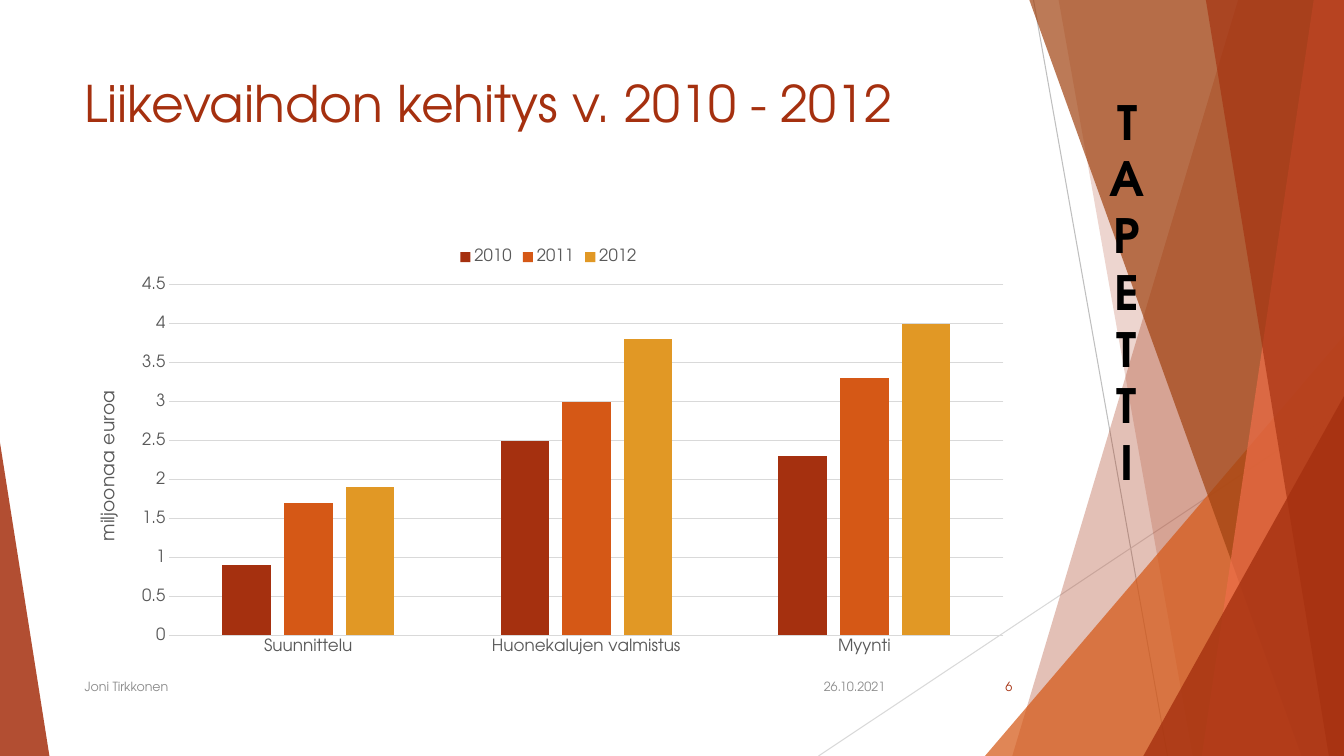
from dataclasses import dataclass

import pptx
import pptx.chart.data
import pptx.dml.color
import pptx.enum.chart
import pptx.enum.shapes
import pptx.enum.text
import pptx.oxml
import pptx.oxml.ns
import pptx.util

ALIGN = pptx.enum.text.PP_ALIGN
ANCHOR = pptx.enum.text.MSO_ANCHOR
qn = pptx.oxml.ns.qn


@dataclass(frozen=True)
class Theme:
    """Colours, font and type sizes of the deck."""
    font: str = "TeX Gyre Adventor"
    red: str = "A5300F"
    orange: str = "D55816"
    gold: str = "E19825"
    brown: str = "A04210"
    coral: str = "EE6E4A"
    black: str = "000000"
    white: str = "FFFFFF"
    label: str = "595959"
    muted: str = "8C8C8C"
    grid: str = "D9D9D9"
    rule: str = "BFBFBF"
    title: float = 36
    banner: float = 33.8
    axis_title: float = 13.3
    axis: float = 12
    footer: float = 9
    hairline: float = 0.75


@dataclass(frozen=True)
class Box:
    """A rectangle in EMU that yields boxes and points by percentage."""
    left: int
    top: int
    width: int
    height: int

    def point(self, x, y):
        """Return the point at x and y percent of the box."""
        return round(self.left + self.width * x / 100), round(self.top + self.height * y / 100)

    def area(self, x, y, w, h):
        """Return the sub-box given in percent."""
        return Box(*self.point(x, y), round(self.width * w / 100), round(self.height * h / 100))

    @property
    def bounds(self):
        """Return left, top, width and height."""
        return self.left, self.top, self.width, self.height


T = Theme()


def rgb(color):
    """Return a colour object for a hex string."""
    return pptx.dml.color.RGBColor.from_string(color)


def sub(parent, tag, **attrs):
    """Append a child element with attributes."""
    el = parent.makeelement(qn(tag), {k: str(v) for k, v in attrs.items()})
    parent.append(el)
    return el


def set_font(font, size, color, bold=False):
    """Apply the theme font with a size and colour."""
    font.name, font.size, font.bold = T.font, pptx.util.Pt(size), bold
    font.color.rgb = rgb(color)


def set_line(line, color):
    """Draw a hairline in the given colour."""
    line.color.rgb = rgb(color)
    line.width = pptx.util.Pt(T.hairline)


def paint(sp, color, opacity):
    """Fill a facet with a translucent colour and no outline."""
    sp.shadow.inherit = False
    sp.fill.solid()
    sp.fill.fore_color.rgb = rgb(color)
    sp.line.fill.background()
    clr = sp._element.spPr.find(qn("a:solidFill"))[0]
    sub(clr, "a:alpha", val=opacity * 1000)


def add_rule(s, box, start, end, color):
    """Add a thin straight line between two points of the box."""
    ln = s.shapes.add_connector(pptx.enum.shapes.MSO_CONNECTOR.STRAIGHT,
                                *box.point(*start), *box.point(*end))
    set_line(ln.line, color)
    sub(ln._element.spPr, "a:effectLst")


def add_band(s, box, top_x, bottom_x, color, opacity):
    """Add a full-height band with a slanted left edge up to the right side."""
    fb = s.shapes.build_freeform(*box.point(top_x, 0), scale=1.0)
    fb.add_line_segments([box.point(100, 0), box.point(100, 100), box.point(bottom_x, 100)], close=True)
    paint(fb.convert_to_shape(), color, opacity)


def add_corner(s, box, apex, color, opacity):
    """Add a right triangle whose apex lies at the given share of its width."""
    sp = s.shapes.add_shape(pptx.enum.shapes.MSO_SHAPE.ISOSCELES_TRIANGLE, *box.bounds)
    sp.adjustments[0] = apex
    paint(sp, color, opacity)


def add_facets(s, box):
    """Add the layered facets at the sides of the slide."""
    add_rule(s, box, (76.9, 0), (86.87, 100), T.rule)
    add_rule(s, box, (100, 53.73), (60.9, 100), T.grid)
    add_band(s, box, 92.12, 75.32, T.red, 30)
    add_band(s, box, 78.77, 88.75, T.red, 20)
    add_corner(s, box.area(73.29, 44.4, 26.71, 55.6), 1, T.orange, 72)
    for top_x, bottom_x, color, opacity in ((76.59, 96.85, T.brown, 70),
                                            (97.75, 89.42, T.coral, 70),
                                            (89.72, 98.87, T.red, 65)):
        add_band(s, box, top_x, bottom_x, color, opacity)
    add_corner(s, box.area(85.07, 52.4, 14.93, 47.6), 1, T.red, 80)
    add_corner(s, box.area(0, 58.53, 3.68, 41.47), 0, T.red, 85)


def add_text(s, box, text, size, color, align=ALIGN.LEFT, anchor=ANCHOR.TOP, bold=False):
    """Add a one-paragraph text box."""
    sp = s.shapes.add_textbox(*box.bounds)
    tf = sp.text_frame
    tf.word_wrap, tf.vertical_anchor = True, anchor
    p = tf.paragraphs[0]
    p.text, p.alignment = text, align
    set_font(p.font, size, color, bold)
    return sp


def add_banner(s, box):
    """Add the stacked vertical lettering with a white outline."""
    tf = add_text(s, box, "TAPETTI", T.banner, T.black, ALIGN.CENTER, bold=True).text_frame
    tf._txBody.bodyPr.set("vert", "wordArtVert")
    ln = sub(tf.paragraphs[0].runs[0]._r.get_or_add_rPr(), "a:ln", w=pptx.util.Pt(T.hairline))
    sub(sub(ln, "a:solidFill"), "a:srgbClr", val=T.white)


def add_revenue_chart(s, box):
    """Add the clustered columns of revenue by department and year."""
    data = pptx.chart.data.CategoryChartData()
    data.categories = ["Suunnittelu", "Huonekalujen valmistus", "Myynti"]
    data.add_series("2010", (0.9, 2.5, 2.3))
    data.add_series("2011", (1.7, 3, 3.3))
    data.add_series("2012", (1.9, 3.8, 4))
    xl = pptx.enum.chart
    chart = s.shapes.add_chart(xl.XL_CHART_TYPE.COLUMN_CLUSTERED, *box.bounds, data).chart
    set_font(chart.font, T.axis, T.label)
    chart.has_title = False
    chart.has_legend = True
    chart.legend.position = xl.XL_LEGEND_POSITION.TOP
    chart.legend.include_in_layout = False
    set_font(chart.legend.font, T.axis, T.label)

    plot = chart.plots[0]
    plot.gap_width, plot.overlap, plot.vary_by_categories = 219, -27, False
    for series, color in zip(plot.series, (T.red, T.orange, T.gold)):
        series.format.fill.solid()
        series.format.fill.fore_color.rgb = rgb(color)

    for axis in (chart.category_axis, chart.value_axis):
        axis.major_tick_mark = axis.minor_tick_mark = xl.XL_TICK_MARK.NONE
        set_font(axis.tick_labels.font, T.axis, T.label)
    set_line(chart.category_axis.format.line, T.grid)
    values = chart.value_axis
    values.minimum_scale, values.maximum_scale, values.major_unit = 0, 4.5, 0.5
    values.format.line.fill.background()
    set_line(values.major_gridlines.format.line, T.grid)
    tf = values.axis_title.text_frame
    p = tf.paragraphs[0]
    p.text = "miljoonaa euroa"
    set_font(p.font, T.axis_title, T.label)
    tf._txBody.bodyPr.set("rot", "-5400000")

    area = chart._chartSpace.chart.plotArea
    for old in area.findall(qn("c:layout")):
        area.remove(old)
    layout = area.makeelement(qn("c:layout"), {})
    area.insert(0, layout)
    manual = sub(layout, "c:manualLayout")
    for tag, val in (("layoutTarget", "inner"), ("xMode", "edge"), ("yMode", "edge"),
                     ("x", 0.1), ("y", 0.11), ("w", 0.88), ("h", 0.82)):
        sub(manual, "c:" + tag, val=val)


def add_footer(s, box):
    """Add date, author and page number along one row."""
    for x, w, text, color, align in ((59.11, 7.5, "26.10.2021", T.muted, ALIGN.RIGHT),
                                     (5.55, 51.69, "Joni Tirkkonen", T.muted, ALIGN.LEFT),
                                     (70.44, 5.63, "6", T.red, ALIGN.RIGHT)):
        add_text(s, box.area(x, 0, w, 100), text, T.footer, color, align, ANCHOR.MIDDLE)


def main():
    """Build and save the slide."""
    prs = pptx.Presentation()
    prs.slide_width, prs.slide_height = pptx.util.Inches(13.33), pptx.util.Inches(7.5)
    s = prs.slides.add_slide(prs.slide_layouts[6])
    page = Box(0, 0, prs.slide_width, prs.slide_height)
    add_facets(s, page)
    add_banner(s, page.area(80.8, 3.2, 6.08, 70.67))
    add_text(s, page.area(5.55, 8.93, 70.52, 19.2), "Liikevaihdon kehitys v. 2010 - 2012", T.title, T.red)
    add_revenue_chart(s, page.area(5.55, 31.47, 70.52, 56.53))
    add_footer(s, page.area(0, 88.13, 100, 5.33))
    prs.save("out.pptx")


if __name__ == "__main__":
    main()
